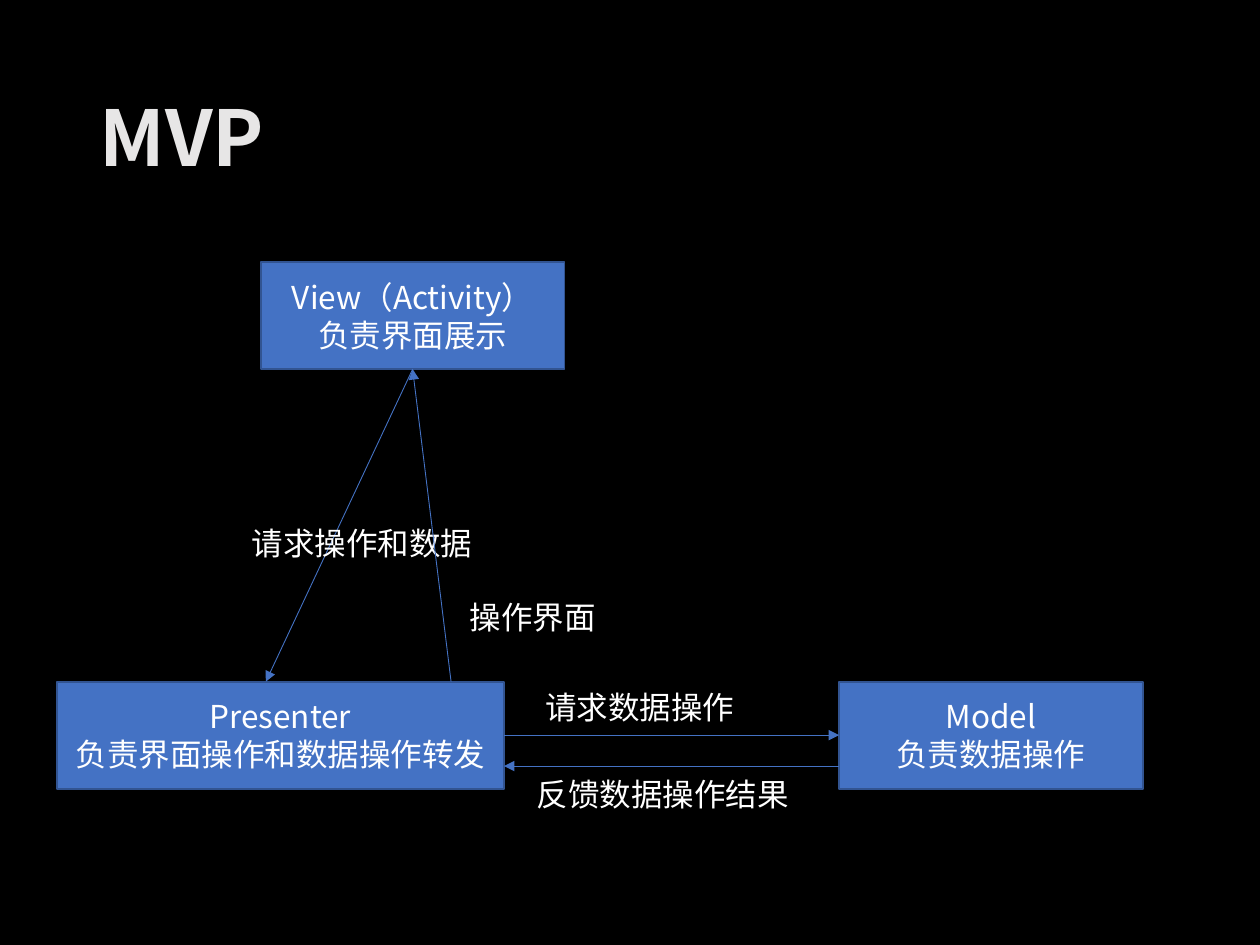
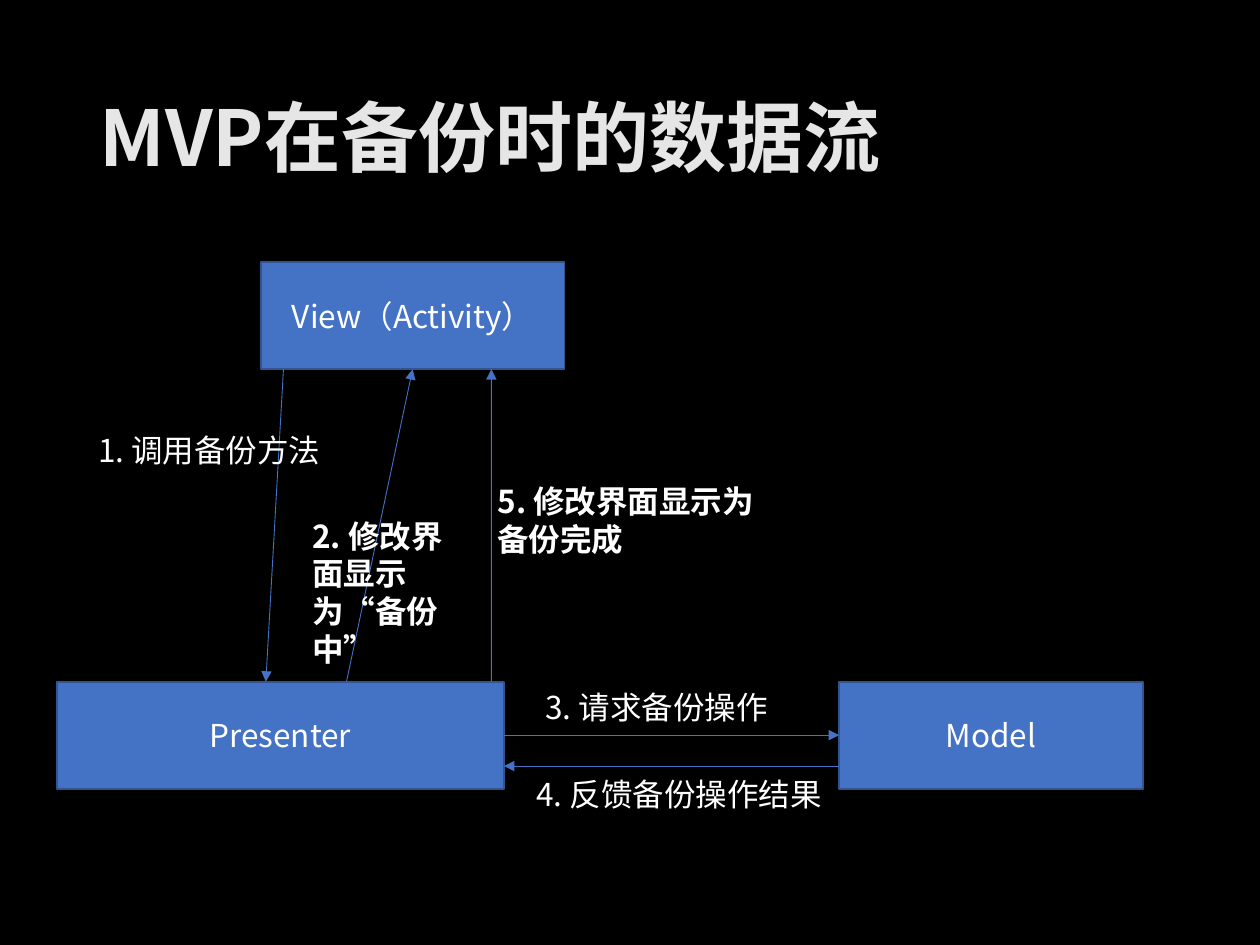
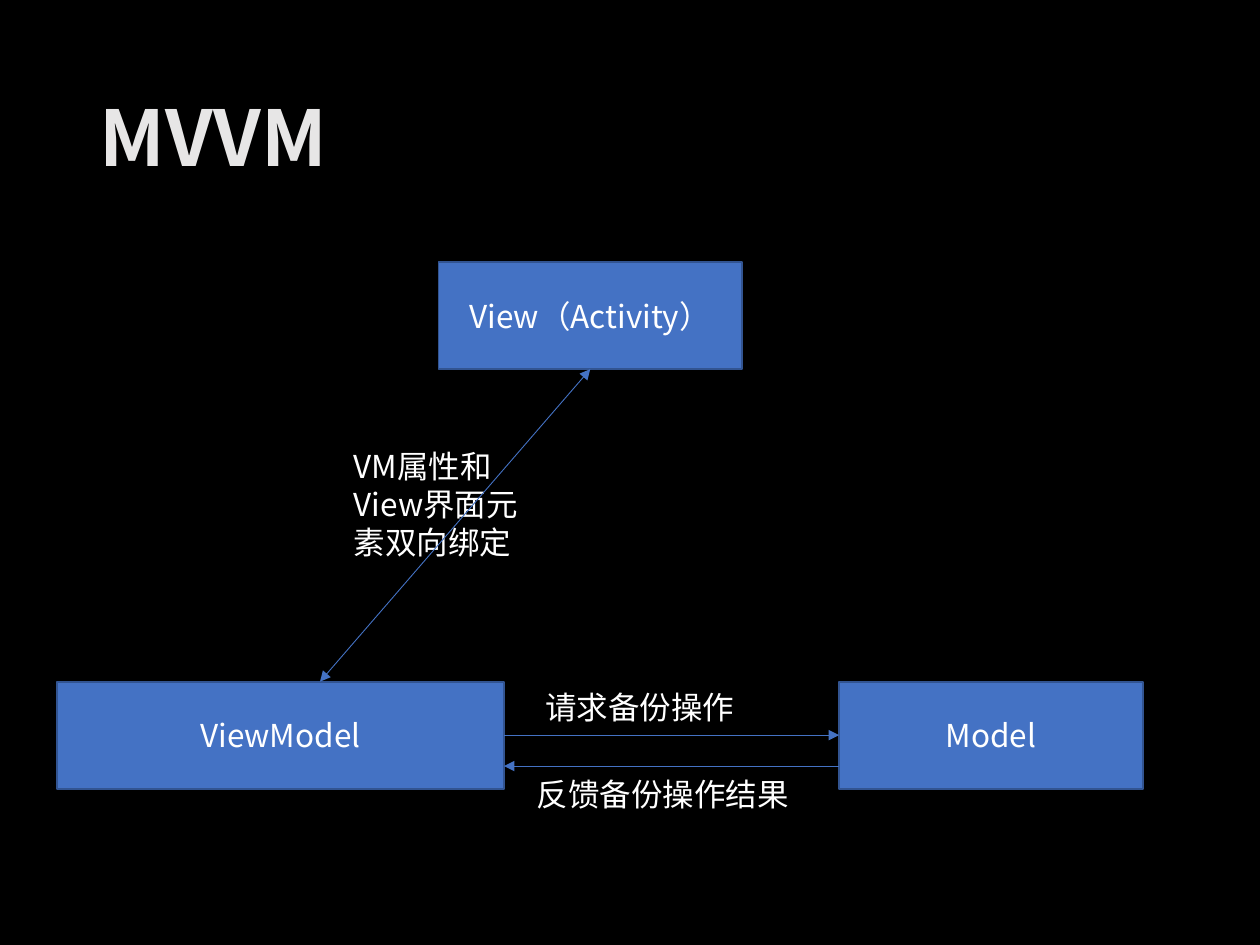
from lxml.etree import SubElement
from pptx import Presentation
from pptx.dml.color import RGBColor
from pptx.enum.shapes import MSO_CONNECTOR, MSO_SHAPE
from pptx.enum.text import MSO_ANCHOR, PP_ALIGN
from pptx.oxml.ns import qn
from pptx.util import Inches, Pt

FONT = "Noto Sans CJK SC"
BLACK, WHITE, TITLE_GREY = "000000", "FFFFFF", "E7E6E6"
BLUE, DARK_BLUE = "4472C4", "325491"

VIEW_TOP, LOWER_TOP, BOX_HEIGHT = 2.08, 5.41, 0.85
PRESENTER_LEFT, PRESENTER_WIDTH = 0.45, 3.55
MODEL_LEFT, BOX_WIDTH = 6.66, 2.41
TOP, LEFT, BOTTOM, RIGHT = range(4)


def color(hex_string):
    return RGBColor.from_string(hex_string)


def write_text(shape, text, size=18, fill=WHITE, bold=False,
               align=PP_ALIGN.LEFT, anchor=MSO_ANCHOR.TOP, line_spacing=None):
    frame = shape.text_frame
    frame.word_wrap = True
    frame.vertical_anchor = anchor
    for index, line in enumerate(text.split("\n")):
        paragraph = frame.paragraphs[0] if index == 0 else frame.add_paragraph()
        paragraph.alignment = align
        paragraph.line_spacing = line_spacing
        run = paragraph.add_run()
        run.text = line
        run.font.name = FONT
        run.font.size = Pt(size)
        run.font.bold = bold
        run.font.color.rgb = color(fill)
        SubElement(run.font._element, qn("a:ea"), typeface=FONT)


def add_titled_slide(presentation, title):
    slide = presentation.slides.add_slide(presentation.slide_layouts[6])
    slide.background.fill.solid()
    slide.background.fill.fore_color.rgb = color(BLACK)
    box = slide.shapes.add_textbox(
        Inches(0.69), Inches(0.4), Inches(8.62), Inches(1.45))
    write_text(box, title, size=44, fill=TITLE_GREY, bold=True,
               anchor=MSO_ANCHOR.MIDDLE, line_spacing=0.9)
    return slide


def add_box(slide, text, left, top, width=BOX_WIDTH):
    box = slide.shapes.add_shape(
        MSO_SHAPE.RECTANGLE, Inches(left), Inches(top), Inches(width), Inches(BOX_HEIGHT))
    box.shadow.inherit = False
    box.fill.solid()
    box.fill.fore_color.rgb = color(BLUE)
    box.line.color.rgb = color(DARK_BLUE)
    box.line.width = Pt(1)
    write_text(box, text, align=PP_ALIGN.CENTER, anchor=MSO_ANCHOR.MIDDLE)
    return box


def add_components(slide, view, presenter, model, view_left=2.07):
    """Add the three boxes and return them as view, presenter, model."""
    model_box = add_box(slide, model, MODEL_LEFT, LOWER_TOP)
    view_box = add_box(slide, view, view_left, VIEW_TOP)
    presenter_box = add_box(slide, presenter, PRESENTER_LEFT, LOWER_TOP, PRESENTER_WIDTH)
    return view_box, presenter_box, model_box


def on_side(box, side, offset):
    """Point on a side of the box, offset from its left or top end."""
    if side in (TOP, BOTTOM):
        return box.left + Inches(offset), box.top + (box.height if side == BOTTOM else 0)
    return box.left + (box.width if side == RIGHT else 0), box.top + Inches(offset)


def add_arrow(slide, start, end, both_ways=False):
    """Each end is (box, side) for a joined middle or (box, side, offset)."""
    points = [on_side(*spot) if len(spot) == 3 else on_side(*spot, 0)
              for spot in (start, end)]
    line = slide.shapes.add_connector(MSO_CONNECTOR.STRAIGHT, *points[0], *points[1])
    if len(start) == 2:
        line.begin_connect(*start)
    if len(end) == 2:
        line.end_connect(*end)
    line.line.color.rgb = color(BLUE)
    line.line.width = Pt(0.5)
    outline = line.line._get_or_add_ln()
    for tag in ("a:headEnd", "a:tailEnd") if both_ways else ("a:tailEnd",):
        SubElement(outline, qn(tag), type="triangle")
    SubElement(line._element.spPr, qn("a:effectLst"))


def add_label(slide, text, corner, right, down, width, height=0.4, bold=False):
    """Place a label right of and below the corner point."""
    label = slide.shapes.add_textbox(
        corner[0] + Inches(right), corner[1] + Inches(down), Inches(width), Inches(height))
    write_text(label, text, bold=bold)


def add_exchange(slide, presenter, model, request, response,
                 request_width=1.72, response_width=2.22):
    """Add the request and response arrows between the lower boxes."""
    corner = on_side(presenter, RIGHT, 0)
    add_arrow(slide, (presenter, RIGHT), (model, LEFT))
    add_label(slide, request, corner, 0.23, 0, request_width)
    add_arrow(slide, (model, LEFT, 0.67), (presenter, RIGHT, 0.67))
    add_label(slide, response, corner, 0.16, 0.69, response_width)


def add_mvp_slide(presentation):
    slide = add_titled_slide(presentation, "MVP")
    view, presenter, model = add_components(
        slide, "View（Activity）\n负责界面展示",
        "Presenter\n负责界面操作和数据操作转发", "Model\n负责数据操作")
    corner = on_side(view, BOTTOM, 0)
    add_arrow(slide, (view, BOTTOM), (presenter, TOP, 1.66))
    add_label(slide, "请求操作和数据", corner, -0.17, 1.18, 1.97)
    add_arrow(slide, (presenter, TOP, 3.13), (view, BOTTOM))
    add_label(slide, "操作界面", corner, 1.56, 1.77, 1.21)
    add_exchange(slide, presenter, model, "请求数据操作", "反馈数据操作结果")


def add_backup_flow_slide(presentation):
    slide = add_titled_slide(presentation, "MVP在备份时的数据流")
    view, presenter, model = add_components(slide, "View（Activity）", "Presenter", "Model")
    corner = on_side(view, BOTTOM, 0)
    add_arrow(slide, (view, BOTTOM, 0.18), (presenter, TOP, 1.66))
    add_label(slide, "1. 调用备份方法", corner, -1.39, 0.44, 1.97)
    add_arrow(slide, (presenter, TOP, 2.3), (view, BOTTOM))
    add_label(slide, "2. 修改界面显示为“备份中”", corner, 0.31, 1.12, 1.37, 1.01, bold=True)
    add_exchange(slide, presenter, model, "3. 请求备份操作", "4. 反馈备份操作结果",
                 request_width=1.97, response_width=2.48)
    add_arrow(slide, (presenter, TOP, 3.45), (view, BOTTOM, 1.83))
    add_label(slide, "5. 修改界面显示为\n备份完成", corner, 1.78, 0.85, 2.24, 0.71, bold=True)


def add_mvvm_slide(presentation):
    slide = add_titled_slide(presentation, "MVVM")
    view, view_model, model = add_components(
        slide, "View（Activity）", "ViewModel", "Model", view_left=3.48)
    add_label(slide, "VM属性和View界面元素双向绑定", on_side(view, BOTTOM, 0),
              -0.77, 0.57, 1.64, 1.01)
    add_exchange(slide, view_model, model, "请求备份操作", "反馈备份操作结果")
    add_arrow(slide, (view, BOTTOM), (view_model, TOP, 2.09), both_ways=True)


def main():
    presentation = Presentation()
    presentation.slide_width = Inches(10)
    presentation.slide_height = Inches(7.5)
    add_mvp_slide(presentation)
    add_backup_flow_slide(presentation)
    add_mvvm_slide(presentation)
    presentation.save("out.pptx")


if __name__ == "__main__":
    main()
